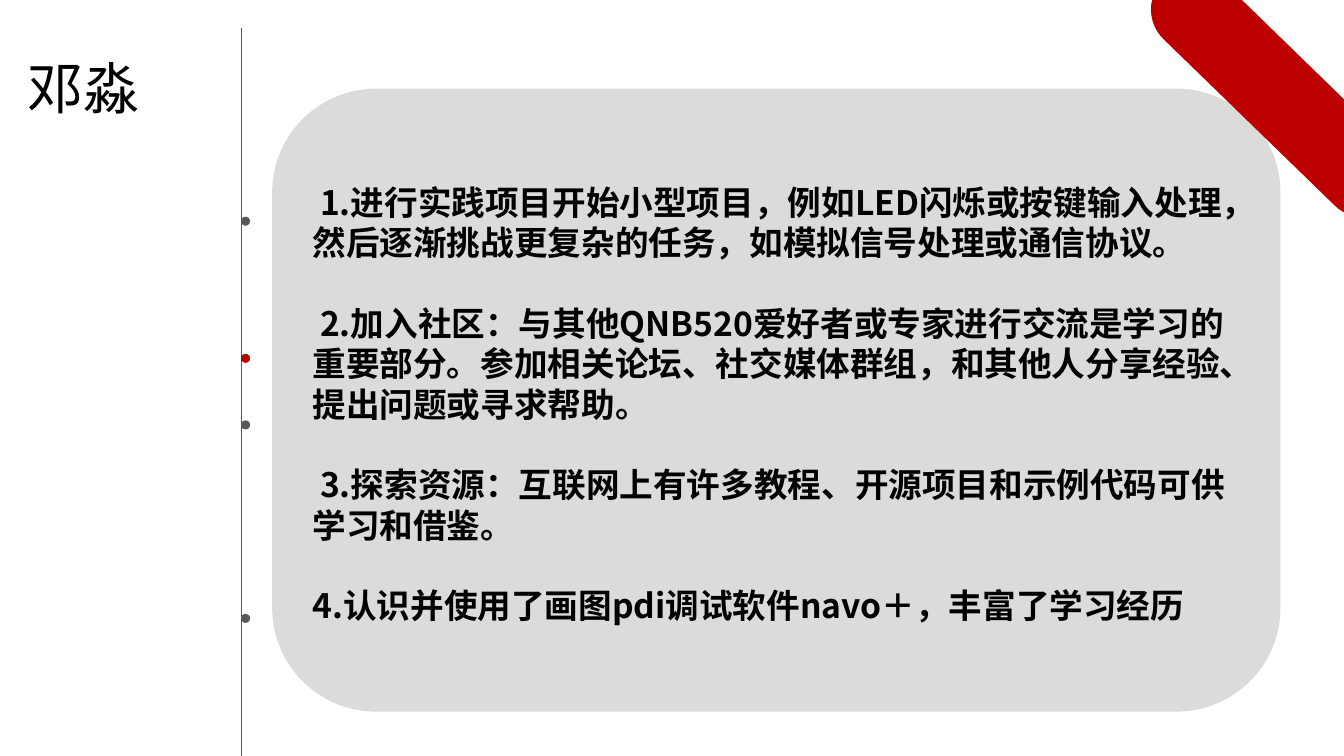
"""Build the learning-advice slide with its timeline rail and text panel."""
from dataclasses import dataclass

from lxml import etree
from pptx import Presentation
from pptx import util as u
from pptx.dml.color import RGBColor
from pptx.enum import shapes, text
from pptx.oxml.ns import qn

TITLE = "邓淼"
ADVICE = [
    " 1.进行实践项目开始小型项目，例如LED闪烁或按键输入处理，然后逐渐挑战更复杂的任务，如模拟信号处理或通信协议。",
    " 2.加入社区：与其他QNB520爱好者或专家进行交流是学习的重要部分。参加相关论坛、社交媒体群组，和其他人分享经验、提出问题或寻求帮助。",
    " 3.探索资源：互联网上有许多教程、开源项目和示例代码可供学习和借鉴。",
    "4.认识并使用了画图pdi调试软件navo＋，丰富了学习经历",
]
DOTS = [(2.15, "grey"), (3.51, "red"), (4.17, "grey"), (6.09, "grey")]


@dataclass(frozen=True)
class Theme:
    font: str = "Noto Sans CJK SC"
    black: str = "000000"
    red: str = "BC0000"
    grey: str = "595959"
    panel: str = "DBDBDB"
    title_size: int = 40
    body_size: int = 24
    leading: float = 1.2


THEME = Theme()
WIDTH, HEIGHT = 13.33, 7.5
RAIL_X, RAIL_TOP, DOT = 2.39, 0.28, 0.09
PANEL = (2.7, 0.88, 10, 6.18)
BAR = (11.08, 0.51, 3.19, 0.82)
NAME = (0.17, 0.48, 2.1, 0.77)


def inches(box):
    return [u.Inches(v) for v in box]


def add_filled(s, kind, box, color):
    sp = s.shapes.add_shape(kind, *inches(box))
    sp.shadow.inherit = False
    sp.fill.solid()
    sp.fill.fore_color.rgb = RGBColor.from_string(color)
    sp.line.fill.background()
    return sp


def add_text(p, words, size, bold=False):
    p.alignment = text.PP_ALIGN.LEFT
    p.line_spacing = u.Pt(size * THEME.leading)
    r = p.add_run()
    r.text = words
    r.font.name = THEME.font
    r.font.size = u.Pt(size)
    r.font.bold = bold
    r.font.color.rgb = RGBColor.from_string(THEME.black)
    ea = etree.SubElement(r.font._element, qn("a:ea"))
    ea.set("typeface", THEME.font)


def add_panel(s):
    sp = add_filled(s, shapes.MSO_SHAPE.ROUNDED_RECTANGLE, PANEL, THEME.panel)
    tf = sp.text_frame
    tf.word_wrap = True
    tf.vertical_anchor = text.MSO_ANCHOR.MIDDLE
    tf.margin_top = u.Inches(0.12)
    for i, words in enumerate(ADVICE):
        p = tf.add_paragraph() if i else tf.paragraphs[0]
        add_text(p, words, THEME.body_size, True)
        if i:
            p.space_before = u.Pt(THEME.body_size * THEME.leading)


def add_rail(s):
    ends = inches((RAIL_X, RAIL_TOP, RAIL_X, HEIGHT))
    rail = s.shapes.add_connector(shapes.MSO_CONNECTOR.STRAIGHT, *ends)
    rail.line.color.rgb = RGBColor.from_string(THEME.grey)
    rail.line.width = u.Pt(0.5)
    etree.SubElement(rail._element.spPr, qn("a:effectLst"))
    for top, tone in DOTS:
        add_filled(s, shapes.MSO_SHAPE.OVAL, (RAIL_X, top, DOT, DOT), getattr(THEME, tone))


def add_title(s):
    sp = s.shapes.title
    sp.left, sp.top, sp.width, sp.height = inches(NAME)
    tf = sp.text_frame
    tf.word_wrap = True
    tf.auto_size = text.MSO_AUTO_SIZE.NONE
    tf.vertical_anchor = text.MSO_ANCHOR.TOP
    add_text(tf.paragraphs[0], TITLE, THEME.title_size)


def main():
    prs = Presentation()
    prs.slide_width, prs.slide_height = inches((WIDTH, HEIGHT))
    s = prs.slides.add_slide(prs.slide_layouts[5])
    add_title(s)
    add_panel(s)
    add_rail(s)
    bar = add_filled(s, shapes.MSO_SHAPE.ROUNDED_RECTANGLE, BAR, THEME.red)
    bar.adjustments[0] = 0.5
    bar.rotation = 44.2
    prs.save("out.pptx")


if __name__ == "__main__":
    main()
